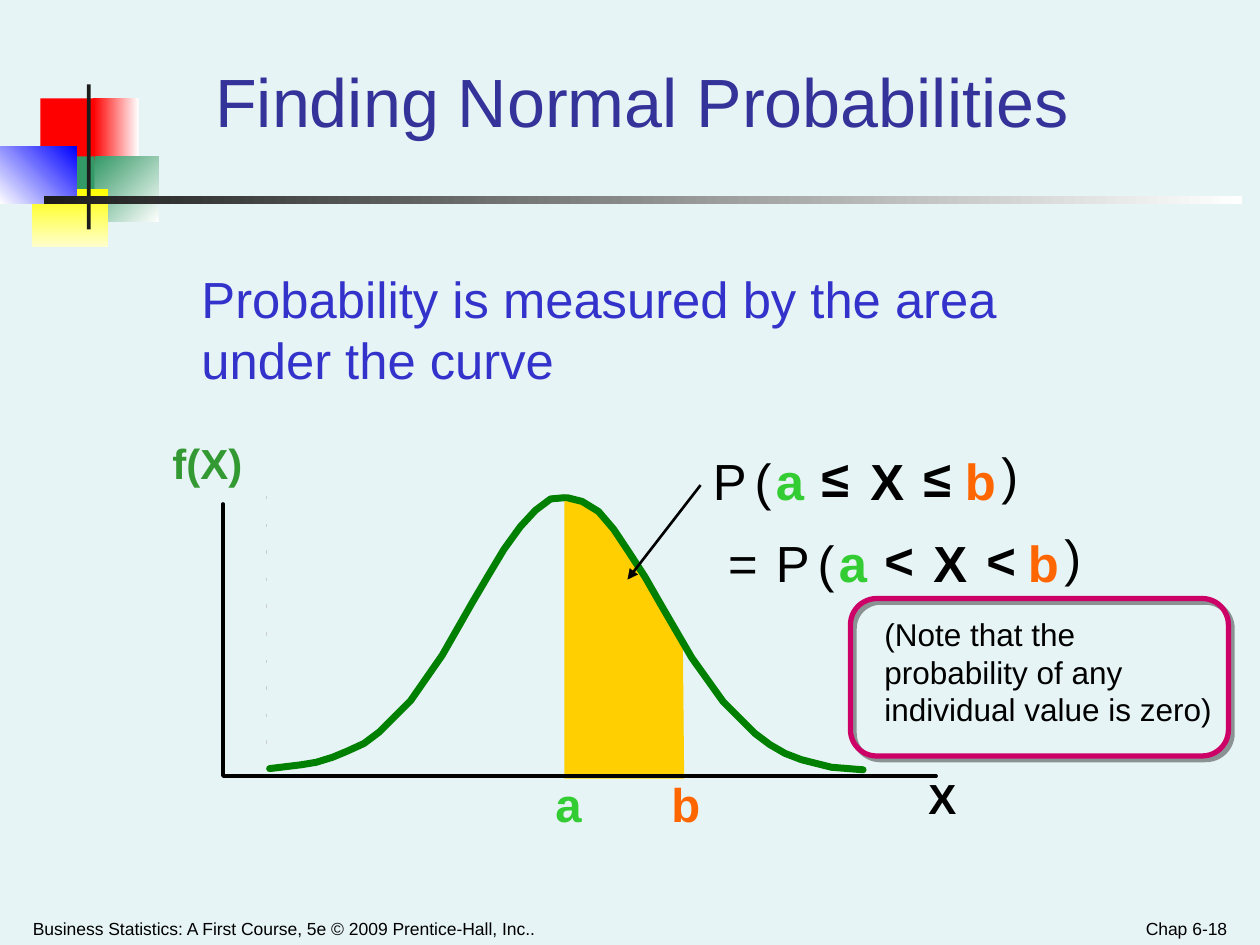
from typing import NamedTuple, Optional

from lxml.etree import SubElement
from pptx import Presentation
from pptx.dml.color import RGBColor
from pptx.enum.shapes import MSO_CONNECTOR, MSO_SHAPE
from pptx.enum.text import MSO_ANCHOR, MSO_AUTO_SIZE, PP_ALIGN
from pptx.oxml.ns import qn
from pptx.util import Pt

PX = 9144  # 100 px to the inch

BACKGROUND = RGBColor(0xE7, 0xF4, 0xF5)
WHITE = RGBColor(0xFF, 0xFF, 0xFF)
BLACK = RGBColor(0x00, 0x00, 0x00)
CHARCOAL = RGBColor(0x1C, 0x1C, 0x1C)
RED = RGBColor(0xFF, 0x00, 0x00)
SEA_GREEN = RGBColor(0x33, 0x99, 0x66)
YELLOW = RGBColor(0xFF, 0xFF, 0x00)
PALE_YELLOW = RGBColor(0xFF, 0xFF, 0xCC)
BLUE = RGBColor(0x00, 0x00, 0xFF)
TITLE_BLUE = RGBColor(0x33, 0x33, 0x99)
TEXT_BLUE = RGBColor(0x33, 0x33, 0xCC)
A_GREEN = RGBColor(0x33, 0xCC, 0x33)
B_ORANGE = RGBColor(0xFF, 0x66, 0x00)
LABEL_GREEN = RGBColor(0x33, 0x99, 0x33)
CURVE_GREEN = RGBColor(0x00, 0x80, 0x00)
AREA_GOLD = RGBColor(0xFF, 0xCF, 0x01)
TICK_GREY = RGBColor(0xCD, 0xCD, 0xCD)
NOTE_PINK = RGBColor(0xCC, 0x00, 0x66)


class Block(NamedTuple):
    left: int
    top: int
    width: int
    height: int
    color: RGBColor
    fade_to: Optional[RGBColor] = None
    clockwise: int = 0


class Label(NamedTuple):
    text: str
    left: int
    top: int
    width: int
    height: int
    size: int
    color: RGBColor = BLACK
    bold: bool = False
    wrap: bool = False


class Symbol(NamedTuple):
    text: str
    left: int
    rise: int
    width: int
    color: RGBColor = BLACK
    bold: bool = False


BLOCKS = [
    Block(32, 78, 48, 52, RED),
    Block(74, 78, 36, 52, RED, WHITE),
    Block(75, 124, 51, 52, SEA_GREEN, WHITE, 45),
    Block(43, 124, 32, 52, SEA_GREEN),
    Block(25, 150, 61, 46, YELLOW, PALE_YELLOW, 90),
    Block(0, 116, 61, 46, WHITE, BLUE, 315),
    Block(69, 67, 3, 115, CHARCOAL),
    Block(35, 156, 951, 6, CHARCOAL, WHITE),
]

LABELS = [
    Label("a", 431, 610, 41, 55, 27, A_GREEN, True),
    Label("b", 523, 610, 43, 55, 27, B_ORANGE, True),
    Label("X", 727, 608, 42, 50, 24, BLACK, True),
    Label("f(X)", 127, 342, 78, 50, 24, LABEL_GREEN, True),
    Label("Probability is measured by the area under the curve",
          150, 208, 742, 106, 29, TEXT_BLUE, wrap=True),
    Label("(Note that the probability of any individual value is zero)",
          692, 483, 292, 100, 18, wrap=True),
]

AREA = [(463, 399), (474, 405), (490, 425), (503, 445), (519, 472), (532, 496),
        (542, 513), (543, 618), (448, 618), (448, 395)]
RIGHT_CURVE = [(685, 611), (660, 609), (648, 606), (636, 603), (623, 598),
               (611, 591), (599, 582), (574, 557), (549, 522), (524, 479),
               (512, 458), (499, 438), (487, 420), (475, 406), (462, 398), (450, 395)]
LEFT_CURVE = [(214, 610), (239, 607), (251, 605), (264, 601), (276, 596),
              (289, 590), (301, 581), (326, 556), (351, 520), (375, 478),
              (388, 456), (400, 436), (413, 418), (425, 405), (437, 396), (448, 395)]
AXES = [(177, 400), (177, 616), (743, 616)]


def px(*lengths: int) -> list[int]:
    return [length * PX for length in lengths]


def add_block(page, block: Block) -> None:
    shape = page.shapes.add_shape(MSO_SHAPE.RECTANGLE, *px(*block[:4]))
    shape.shadow.inherit = False
    shape.line.fill.background()
    if block.fade_to is None:
        shape.fill.solid()
        shape.fill.fore_color.rgb = block.color
    else:
        shape.fill.gradient()
        shape.fill.gradient_angle = (360 - block.clockwise) % 360
        for stop, color in zip(shape.fill.gradient_stops, (block.color, block.fade_to)):
            stop.color.rgb = color


def style_text(paragraph, size: int, color: RGBColor, bold: bool = False) -> None:
    font = paragraph.font
    font.name, font.size, font.bold = "Arial", Pt(size), bold
    font.color.rgb = color


def add_label(page, label: Label):
    box = page.shapes.add_textbox(*px(*label[1:5]))
    frame = box.text_frame
    frame.word_wrap = label.wrap
    frame.auto_size = MSO_AUTO_SIZE.SHAPE_TO_FIT_TEXT
    frame.text = label.text
    style_text(frame.paragraphs[0], label.size, label.color, label.bold)
    return box


def add_footer(page, text: str, left: int, width: int, align: PP_ALIGN) -> None:
    frame = add_label(page, Label(text, left, 715, width, 35, 10, wrap=True)).text_frame
    frame.auto_size = MSO_AUTO_SIZE.NONE
    frame.vertical_anchor = MSO_ANCHOR.BOTTOM
    frame.margin_left = frame.margin_right = 9 * PX
    frame.paragraphs[0].alignment = align


def add_outline(page, points: list[tuple[int, int]], closed: bool = False):
    builder = page.shapes.build_freeform(*points[0], scale=PX)
    builder.add_line_segments(points[1:], close=closed)
    shape = builder.convert_to_shape()
    shape.shadow.inherit = False
    return shape


def add_stroke(page, points: list[tuple[int, int]], color: RGBColor, weight: float) -> None:
    shape = add_outline(page, points)
    shape.fill.background()
    shape.line.color.rgb = color
    shape.line.width = Pt(weight)
    shape.line._get_or_add_ln().set("cap", "rnd")


def add_line(page, start: tuple[int, int], end: tuple[int, int],
             color: RGBColor, weight: float):
    line = page.shapes.add_connector(MSO_CONNECTOR.STRAIGHT, *px(*start, *end))
    line.line.color.rgb = color
    line.line.width = Pt(weight)
    SubElement(line._element.spPr, qn("a:effectLst"))
    return line


def add_formula(page, left: int, top: int, relation: str) -> None:
    symbols = [
        Symbol("P", 0, 0, 47), Symbol("(", 33, 0, 33),
        Symbol("a", 50, 0, 42, A_GREEN, True),
        Symbol(relation, 86, 2, 42, BLACK, True), Symbol("X", 125, 0, 47, BLACK, True),
        Symbol(relation, 167, 2, 42, BLACK, True),
        Symbol("b", 200, 0, 44, B_ORANGE, True), Symbol(")", 229, 5, 33),
    ]
    for symbol in symbols:
        add_label(page, Label(symbol.text, left + symbol.left, top - symbol.rise,
                              symbol.width, 58, 29, symbol.color, symbol.bold))


def add_note_frame(page) -> None:
    frame = page.shapes.add_shape(MSO_SHAPE.ROUNDED_RECTANGLE, *px(675, 475, 300, 125))
    frame.fill.background()
    frame.line.color.rgb = NOTE_PINK
    frame.line.width = Pt(3)
    frame.shadow.inherit = False
    effects = frame._element.spPr.find(qn("a:effectLst"))
    shadow = SubElement(effects, qn("a:outerShdw"), dist=str(Pt(3)), dir="2700000",
                        algn="tl", rotWithShape="0")
    color = SubElement(shadow, qn("a:srgbClr"), val=str(BLACK))
    SubElement(color, qn("a:alpha"), val="40000")


def add_title(page, text: str) -> None:
    title = page.shapes.title
    title.left, title.top, title.width, title.height = px(100, 33, 850, 99)
    frame = title.text_frame
    frame.text = text
    frame.auto_size = MSO_AUTO_SIZE.NONE
    frame.vertical_anchor = MSO_ANCHOR.MIDDLE
    frame.margin_right = 41 * PX
    paragraph = frame.paragraphs[0]
    paragraph.alignment = PP_ALIGN.CENTER
    paragraph.line_spacing = 0.95
    style_text(paragraph, 39, TITLE_BLUE)


def main() -> None:
    deck = Presentation()
    deck.slide_width, deck.slide_height = px(1000, 750)
    page = deck.slides.add_slide(deck.slide_layouts[5])
    page.background.fill.solid()
    page.background.fill.fore_color.rgb = BACKGROUND

    for block in BLOCKS:
        add_block(page, block)
    add_footer(page, "Business Statistics: A First Course, 5e © 2009 Prentice-Hall, Inc..",
               17, 508, PP_ALIGN.LEFT)
    add_footer(page, "Chap 6-18", 750, 233, PP_ALIGN.RIGHT)
    add_title(page, "Finding Normal Probabilities")

    area = add_outline(page, AREA, closed=True)
    area.fill.solid()
    area.fill.fore_color.rgb = AREA_GOLD
    area.line.fill.background()
    for curve in (RIGHT_CURVE, LEFT_CURVE):
        add_stroke(page, curve, CURVE_GREEN, 4)
    add_stroke(page, AXES, BLACK, 2)
    for index in range(10):
        height = 395 + round(index * 21.6)
        add_line(page, (211, height), (212, height), TICK_GREY, 2)

    for label in LABELS:
        add_label(page, label)
    add_formula(page, 556, 352, "≤")
    add_label(page, Label("=", 568, 417, 43, 58, 29))
    add_formula(page, 606, 417, "<")
    arrow = add_line(page, (556, 385), (498, 460), BLACK, 1.5)
    SubElement(arrow.line._get_or_add_ln(), qn("a:tailEnd"), type="triangle")
    add_note_frame(page)
    deck.save("out.pptx")


if __name__ == "__main__":
    main()
